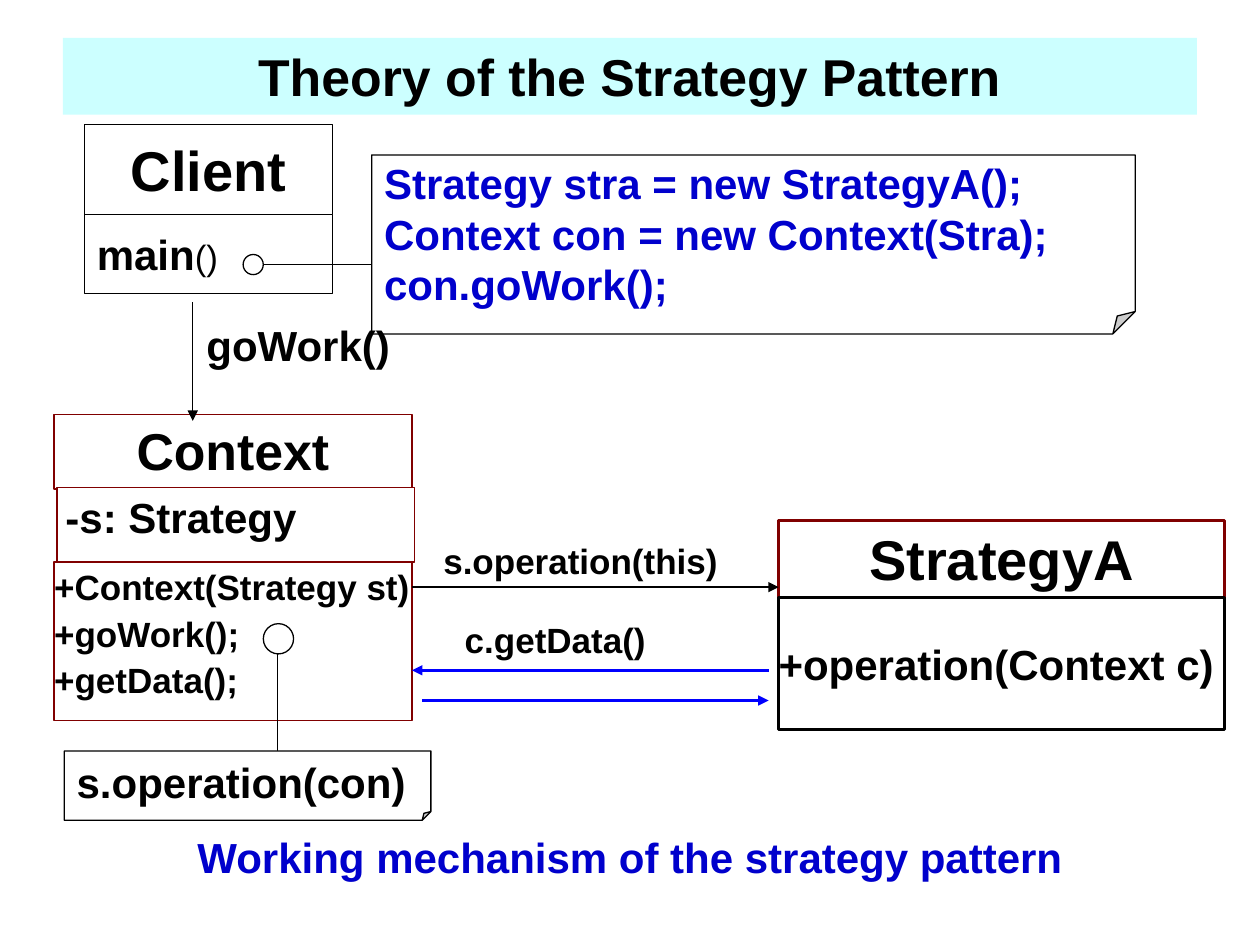
"""Build a slide on how the strategy pattern works, as a class diagram with calls."""
from dataclasses import dataclass

from lxml import etree
from pptx import Presentation
from pptx.dml.color import RGBColor
from pptx.enum.shapes import MSO_CONNECTOR, MSO_SHAPE
from pptx.enum.text import MSO_ANCHOR, PP_ALIGN
from pptx.oxml.ns import qn
from pptx.util import Inches, Pt

RECTANGLE, OVAL, NOTE = MSO_SHAPE.RECTANGLE, MSO_SHAPE.OVAL, MSO_SHAPE.FOLDED_CORNER
STRAIGHT = MSO_CONNECTOR.STRAIGHT
TOP, MIDDLE = MSO_ANCHOR.TOP, MSO_ANCHOR.MIDDLE
LEFT, CENTER = PP_ALIGN.LEFT, PP_ALIGN.CENTER


@dataclass(frozen=True)
class Theme:
    """Colours, font and type sizes of the slide."""
    font: str = "Arial"
    black: str = "000000"
    white: str = "FFFFFF"
    banner: str = "CCFFFF"
    maroon: str = "800000"
    code: str = "0000CC"
    reply: str = "0000FF"
    title: float = 29.6
    class_name: float = 32
    body: float = 24
    small: float = 20
    thin: float = 0.75
    frame: float = 1
    medium: float = 1.5
    thick: float = 2


THEME = Theme()
NORMAL, NARROW, SIDES, NONE = (0.1, 0.05), (0.07, 0.03), (0.1, 0), (0, 0)
THIN_BLACK = (THEME.black, THEME.thin)
MAROON_FRAME = (THEME.maroon, THEME.frame)

CLIENT_LEFT, CLIENT_WIDTH = 0.67, 1.97
CONTEXT_LEFT, CONTEXT_WIDTH = 0.43, 2.84
CONTEXT_RIGHT = CONTEXT_LEFT + CONTEXT_WIDTH
STRATEGY_LEFT, STRATEGY_WIDTH = 6.18, 3.54

TITLE = "Theory of the Strategy Pattern"
CAPTION = "Working mechanism of the strategy pattern"
OPERATIONS = ["+Context(Strategy st)", "+goWork();", "+getData();"]
CLIENT_CODE = [
    "Strategy stra = new StrategyA();",
    "Context con = new Context(Stra);",
    "con.goWork();",
]
CLASS_BOXES = [
    (["Context"], (CONTEXT_LEFT, 3.29, CONTEXT_WIDTH, 0.59), MAROON_FRAME,
     dict(size=THEME.title, align=CENTER, inset=NARROW)),
    (OPERATIONS, (CONTEXT_LEFT, 4.46, CONTEXT_WIDTH, 1.26), MAROON_FRAME,
     dict(size=THEME.small, inset=(0, 0.03), gap=2.5)),
    (["-s: Strategy"], (CONTEXT_LEFT + 0.02, 3.87, CONTEXT_WIDTH, 0.59), MAROON_FRAME,
     dict(inset=NARROW)),
    (["StrategyA"], (STRATEGY_LEFT, 4.13, STRATEGY_WIDTH, 0.63), (THEME.maroon, THEME.thick),
     dict(size=THEME.class_name, align=CENTER, inset=NARROW)),
    (["+operation(Context c)"], (STRATEGY_LEFT, 4.74, STRATEGY_WIDTH, 1.05),
     (THEME.black, THEME.medium), dict(inset=NONE, anchor=MIDDLE)),
    (["Client"], (CLIENT_LEFT, 0.99, CLIENT_WIDTH, 0.71), THIN_BLACK,
     dict(size=THEME.class_name, align=CENTER, anchor=MIDDLE)),
]
CALL_LABELS = [
    ("s.operation(this)", (3.42, 4.28, 2.44, 0.33)),
    ("c.getData()", (3.59, 4.91, 2.44, 0.33)),
]
CALL_ARROWS = [
    ((CONTEXT_RIGHT, 4.66), (STRATEGY_LEFT, 4.66), THIN_BLACK),
    ((1.53, 2.4), (1.53, 3.34), THIN_BLACK),
    ((6.1, 5.32), (CONTEXT_RIGHT, 5.32), (THEME.reply, THEME.medium)),
    ((3.35, 5.56), (6.1, 5.56), (THEME.reply, THEME.medium)),
]
NOTE_LINES = [((2.09, 2.1), (3.42, 2.1)), ((2.2, 5.07), (2.2, 5.96))]
NOTE_CIRCLES = [(1.93, 2.02, 0.16), (2.09, 4.95, 0.24)]
NOTES = [
    (["s.operation(con)"], (0.51, 5.96, 2.91, 0.55), THEME.black),
    (CLIENT_CODE, (2.95, 1.23, 6.06, 1.42), THEME.code),
]


def style_run(run, size, color=THEME.black, bold=True):
    """Give a run its font, size, colour and weight."""
    run.font.name = THEME.font
    run.font.size = Pt(size)
    run.font.bold = bold
    run.font.color.rgb = RGBColor.from_string(color)


def write_text(shape, lines, size=THEME.body, color=THEME.black, align=LEFT,
               anchor=TOP, inset=NORMAL, gap=0, wrap=True):
    """Write one paragraph per line and format it."""
    frame = shape.text_frame
    frame.text = "\n".join(lines)
    frame.word_wrap = wrap
    frame.vertical_anchor = anchor
    frame.margin_left = frame.margin_right = Inches(inset[0])
    frame.margin_top = frame.margin_bottom = Inches(inset[1])
    for index, paragraph in enumerate(frame.paragraphs):
        paragraph.alignment = align
        if index and gap:
            paragraph.space_before = Pt(gap)
        for run in paragraph.runs:
            style_run(run, size, color)


def add_box(slide, kind, place, line=None, fill=THEME.white):
    """Add a filled preset shape with an optional outline."""
    shape = slide.shapes.add_shape(kind, *map(Inches, place))
    shape.shadow.inherit = False
    shape.fill.solid()
    shape.fill.fore_color.rgb = RGBColor.from_string(fill)
    if line:
        shape.line.color.rgb = RGBColor.from_string(line[0])
        shape.line.width = Pt(line[1])
    else:
        shape.line.fill.background()
    return shape


def add_note(slide, place):
    """Add a note with a small folded corner."""
    note = add_box(slide, NOTE, place, THIN_BLACK)
    guides = note._element.spPr.find(qn("a:prstGeom")).find(qn("a:avLst"))
    etree.SubElement(guides, qn("a:gd"), name="adj", fmla="val 12500")
    return note


def add_line(slide, start, end, line, arrow=False):
    """Add a straight connector, with an arrowhead at its end if asked."""
    connector = slide.shapes.add_connector(STRAIGHT, *map(Inches, start + end))
    connector.line.color.rgb = RGBColor.from_string(line[0])
    connector.line.width = Pt(line[1])
    if arrow:
        etree.SubElement(connector.line._get_or_add_ln(), qn("a:tailEnd"), type="triangle")
    etree.SubElement(connector._element.spPr, qn("a:effectLst"))


def add_text_box(slide, text, place, **style):
    """Add a plain text box and return it."""
    box = slide.shapes.add_textbox(*map(Inches, place))
    write_text(box, [text], **style)
    return box


def main():
    """Draw the slide and save it."""
    presentation = Presentation()
    presentation.slide_width, presentation.slide_height = Inches(10), Inches(7.5)
    slide = presentation.slides.add_slide(presentation.slide_layouts[6])

    banner = add_box(slide, RECTANGLE, (0.5, 0.3, 9, 0.61), fill=THEME.banner)
    write_text(banner, [TITLE], size=THEME.title, align=CENTER, anchor=MIDDLE)
    caption = add_text_box(slide, CAPTION, (0.5, 6.63, 9, 0.43), color=THEME.code, align=CENTER)
    caption.text_frame.paragraphs[0].line_spacing = 0.8

    for lines, place, line, style in CLASS_BOXES:
        write_text(add_box(slide, RECTANGLE, place, line), lines, **style)
    method = add_box(slide, RECTANGLE, (CLIENT_LEFT, 1.7, CLIENT_WIDTH, 0.63), THIN_BLACK)
    write_text(method, ["main"], anchor=MIDDLE)
    brackets = method.text_frame.paragraphs[0].add_run()
    brackets.text = "()"
    style_run(brackets, THEME.small, bold=False)

    for text, place in CALL_LABELS:
        write_text(add_box(slide, RECTANGLE, place), [text], size=THEME.small, inset=SIDES)
    for start, end, line in CALL_ARROWS:
        add_line(slide, start, end, line, arrow=True)
    for start, end in NOTE_LINES:
        add_line(slide, start, end, THIN_BLACK)
    for left, top, diameter in NOTE_CIRCLES:
        add_box(slide, OVAL, (left, top, diameter, diameter), THIN_BLACK)
    for lines, place, color in NOTES:
        write_text(add_note(slide, place), lines, color=color, anchor=MIDDLE)
    add_text_box(slide, "goWork()", (1.54, 2.49, 1.66, 0.5), wrap=False)

    presentation.save("out.pptx")


if __name__ == "__main__":
    main()
